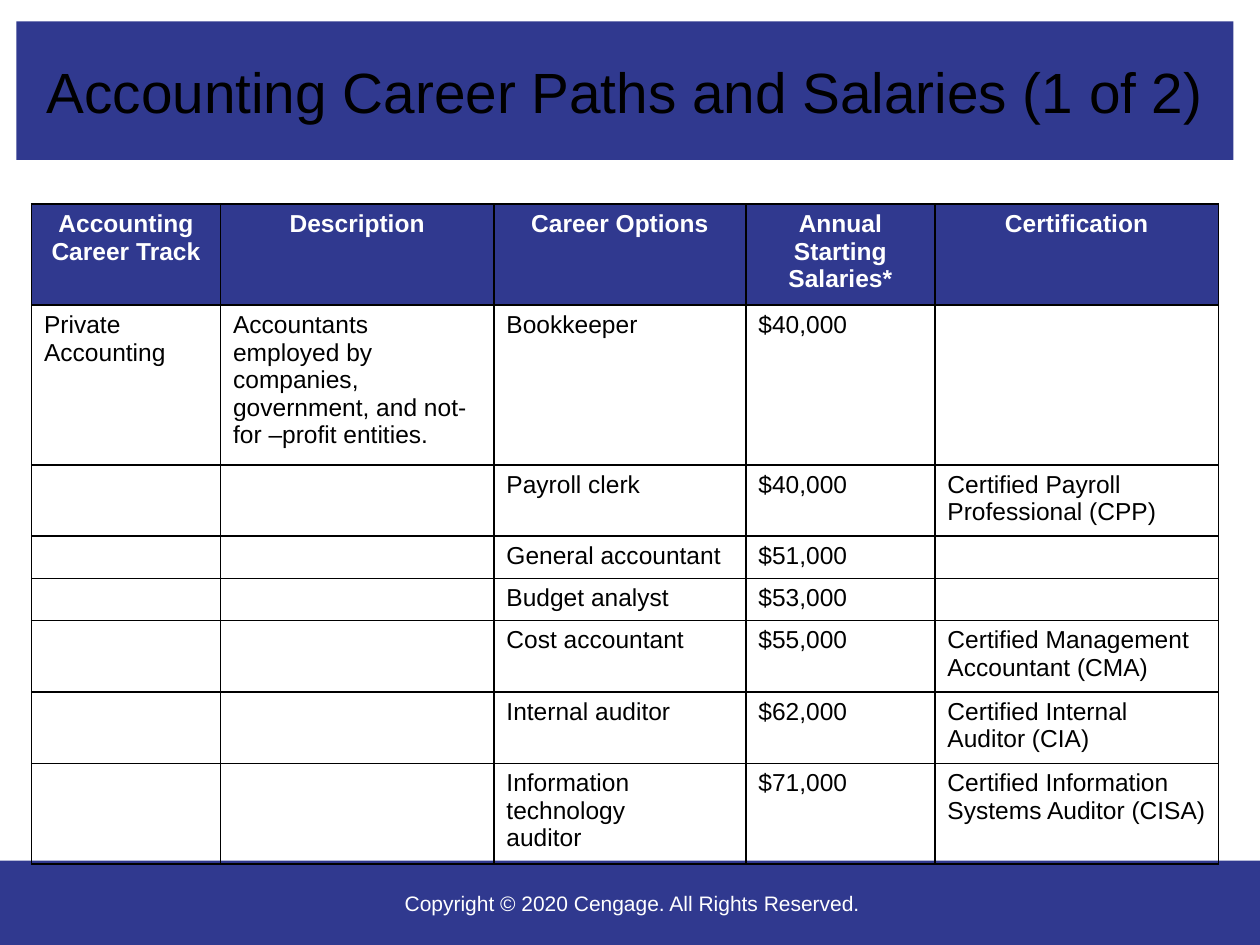
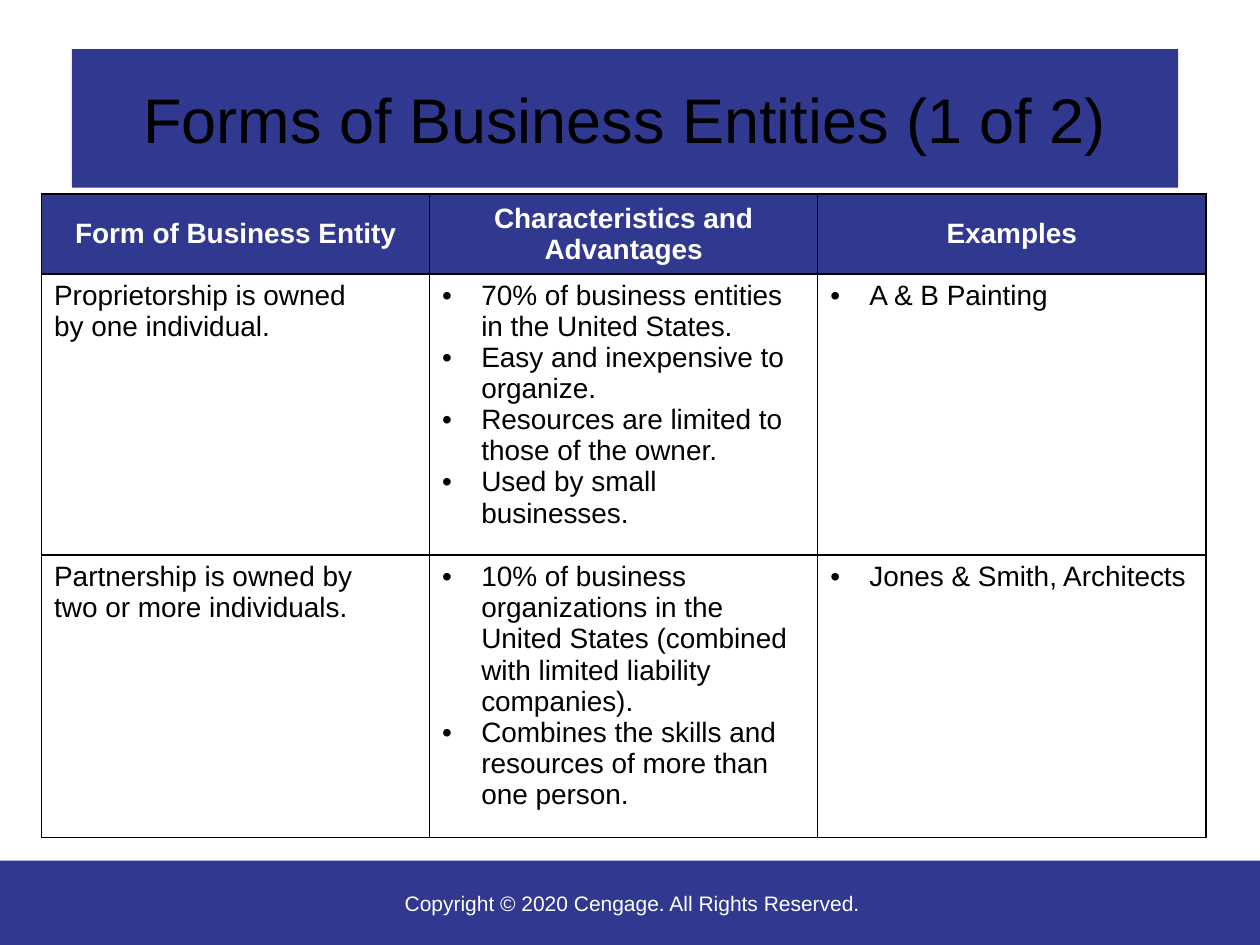
"""Build two slides with tables on accounting careers and business entities."""
from pptx import Presentation
from pptx.dml.color import RGBColor
from pptx.enum import shapes, text
from pptx.oxml import parse_xml
from pptx.oxml.ns import nsdecls
from pptx.util import Inches, Pt

COLORS = {"band": "30398F", "title": "000000", "body": "000000",
          "light": "FFFFFF", "border": "000000"}
FONT = "Arial"
FOOTER = "Copyright © 2020 Cengage. All Rights Reserved."
BULLET_INDENT = 0.31

SLIDES = [
    {
        "title": "Accounting Career Paths and Salaries (1 of 2)",
        "title_box": (0.13, 0.17, 9.66, 1.1),
        "title_size": 32.4,
        "table_origin": (0.25, 1.62),
        "columns": [1.5, 2.17, 2, 1.5, 2.25],
        "rows": [0.75, 1.19, 0.54, 0.32, 0.32, 0.54, 0.54, 0.75],
        "text_size": 14,
        "header_anchor": text.MSO_ANCHOR.TOP,
        "bullet_columns": (),
        "cells": [
            ("Accounting Career Track", "Description", "Career Options",
             "Annual Starting\nSalaries*", "Certification"),
            ("Private Accounting",
             "Accountants employed by companies, government, and "
             "not-for –profit entities.", "Bookkeeper", "$40,000", ""),
            ("", "", "Payroll clerk", "$40,000",
             "Certified Payroll Professional (CPP)"),
            ("", "", "General accountant", "$51,000", ""),
            ("", "", "Budget analyst", "$53,000", ""),
            ("", "", "Cost accountant", "$55,000",
             "Certified Management Accountant (CMA)"),
            ("", "", "Internal auditor", "$62,000",
             "Certified Internal Auditor (CIA)"),
            ("", "", "Information technology\nauditor", "$71,000",
             "Certified Information Systems Auditor (CISA)"),
        ],
    },
    {
        "title": "Forms of Business Entities (1 of 2)",
        "title_box": (0.57, 0.39, 8.78, 1.1),
        "title_size": 36,
        "table_origin": (0.33, 1.54),
        "columns": [3.08] * 3,
        "rows": [0.59, 2.08, 2.24],
        "text_size": 16,
        "header_anchor": text.MSO_ANCHOR.MIDDLE,
        "bullet_columns": (1, 2),
        "cells": [
            ("Form of Business Entity", "Characteristics and Advantages",
             "Examples"),
            ("Proprietorship is owned\nby one individual.",
             "70% of business entities in the United States.\n"
             "Easy and inexpensive to organize.\n"
             "Resources are limited to those of the owner.\n"
             "Used by small businesses.",
             "A & B Painting"),
            ("Partnership is owned by\ntwo or more individuals.",
             "10% of business organizations in the United States "
             "(combined with limited liability companies).\n"
             "Combines the skills and resources of more than one person.",
             "Jones & Smith, Architects"),
        ],
    },
]


def box(*lengths):
    return [Inches(length) for length in lengths]


def color(name):
    return RGBColor.from_string(COLORS[name])


def fill_band(shape):
    shape.fill.solid()
    shape.fill.fore_color.rgb = color("band")


def style(paragraph, size, color_name, bold=False, centered=False):
    paragraph.alignment = text.PP_ALIGN.CENTER if centered else text.PP_ALIGN.LEFT
    font = paragraph.font
    font.name, font.size, font.bold = FONT, Pt(size), bold
    font.color.rgb = color(color_name)


def add_bullet(paragraph):
    properties = paragraph._p.get_or_add_pPr()
    properties.set("marL", str(Inches(BULLET_INDENT)))
    properties.set("indent", str(-Inches(BULLET_INDENT)))
    properties.append(parse_xml(f'<a:buFont {nsdecls("a")} typeface="{FONT}"/>'))
    properties.append(parse_xml(f'<a:buChar {nsdecls("a")} char="•"/>'))


def add_borders(cell):
    properties = cell._tc.get_or_add_tcPr()
    for position, side in enumerate(("lnL", "lnR", "lnT", "lnB")):
        properties.insert(position, parse_xml(
            f'<a:{side} {nsdecls("a")} w="{Pt(1)}"><a:solidFill>'
            f'<a:srgbClr val="{COLORS["border"]}"/></a:solidFill></a:{side}>'))


def add_footer(slide):
    band = slide.shapes.add_shape(shapes.MSO_SHAPE.RECTANGLE, *box(0, 6.83, 10, 0.67))
    band.shadow.inherit = False
    band.line.fill.background()
    fill_band(band)
    frame = slide.shapes.add_textbox(*box(0.02, 6.84, 10, 0.66)).text_frame
    frame.word_wrap = True
    frame.vertical_anchor = text.MSO_ANCHOR.MIDDLE
    frame.text = FOOTER
    style(frame.paragraphs[0], 12, "light", centered=True)


def add_title(slide, content):
    title = slide.shapes.title
    title.left, title.top, title.width, title.height = box(*content["title_box"])
    fill_band(title)
    frame = title.text_frame
    frame.text = content["title"]
    frame.auto_size = text.MSO_AUTO_SIZE.NONE
    frame.vertical_anchor = text.MSO_ANCHOR.MIDDLE
    style(frame.paragraphs[0], content["title_size"], "title", centered=True)


def fill_cell(cell, words, content, header, bulleted):
    cell.text_frame.text = words
    if header:
        fill_band(cell)
        cell.vertical_anchor = content["header_anchor"]
    else:
        cell.fill.background()
    add_borders(cell)
    size = content["text_size"]
    for paragraph in cell.text_frame.paragraphs:
        if bulleted:
            add_bullet(paragraph)
        style(paragraph, size, "light" if header else "body", header, header)
        if not words:
            paragraph._p.get_or_add_endParaRPr().set("sz", str(size * 100))


def add_table(slide, content):
    columns, rows = content["columns"], content["rows"]
    table = slide.shapes.add_table(
        len(rows), len(columns),
        *box(*content["table_origin"], sum(columns), sum(rows))).table
    table.first_row = table.horz_banding = False
    for column, width in zip(table.columns, columns):
        column.width = Inches(width)
    for row, height in zip(table.rows, rows):
        row.height = Inches(height)
    for row_index, row_words in enumerate(content["cells"]):
        for column_index, words in enumerate(row_words):
            header = row_index == 0
            bulleted = not header and column_index in content["bullet_columns"]
            fill_cell(table.cell(row_index, column_index), words, content,
                      header, bulleted)


def main():
    presentation = Presentation()
    presentation.slide_width, presentation.slide_height = box(10, 7.5)
    for content in SLIDES:
        slide = presentation.slides.add_slide(presentation.slide_layouts[5])
        add_footer(slide)
        add_title(slide, content)
        add_table(slide, content)
    presentation.save("out.pptx")


if __name__ == "__main__":
    main()
